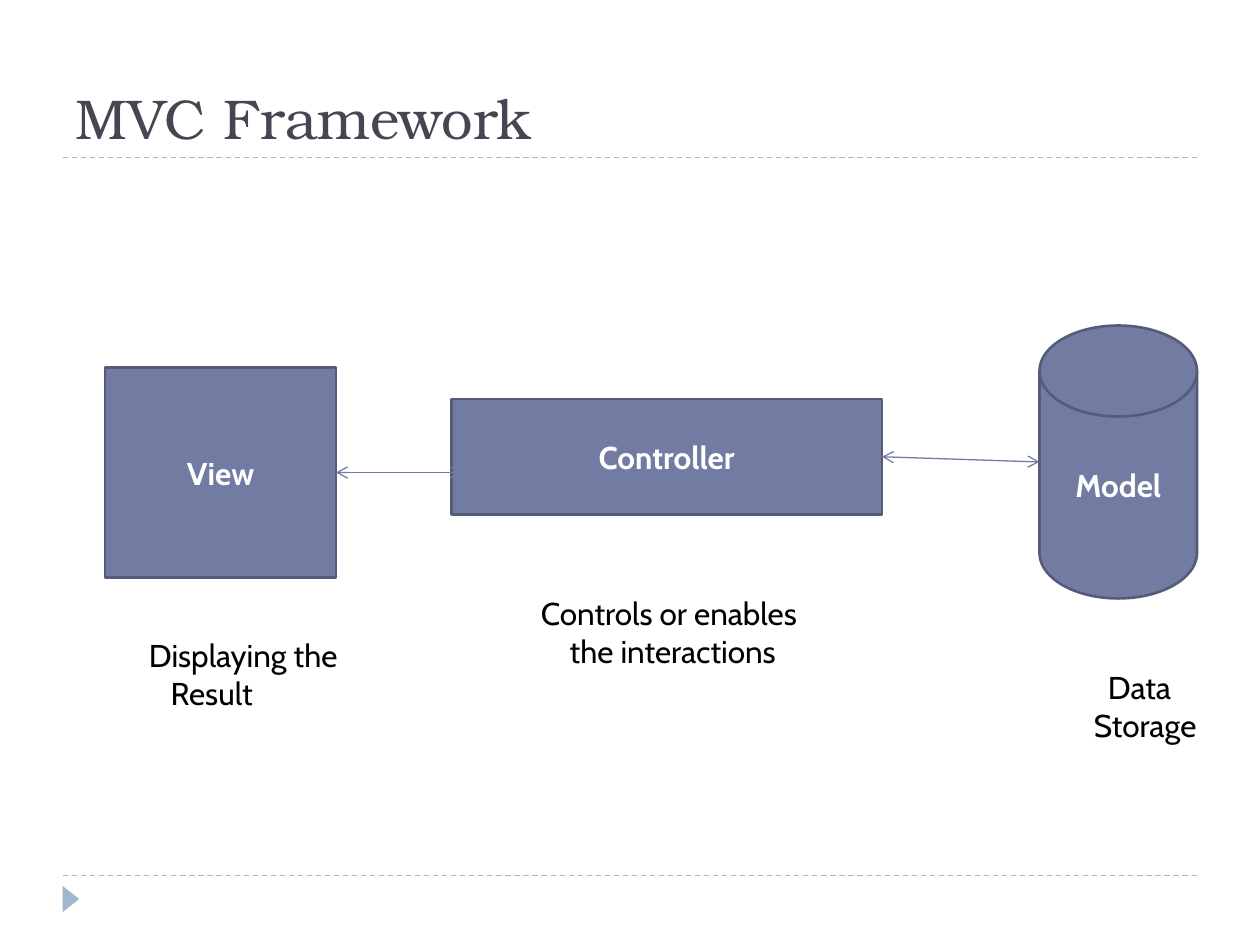
from dataclasses import dataclass
from lxml.etree import SubElement
from pptx import Presentation
from pptx.dml.color import RGBColor
from pptx.enum.dml import MSO_LINE
from pptx.enum.shapes import MSO_CONNECTOR as CONN, MSO_SHAPE as SHAPE
from pptx.enum.text import MSO_ANCHOR as ANCHOR, MSO_AUTO_SIZE as AUTO, PP_ALIGN as ALIGN
from pptx.oxml.ns import qn
from pptx.util import Pt


@dataclass(frozen=True)
class Theme:
    title: str = "464653"
    box: str = "727CA3"
    edge: str = "545C79"
    rule: str = "9FB8CD"
    light: str = "FFFFFF"
    dark: str = "000000"
    heading_font: str = "TeX Gyre Bonum"
    body_font: str = "Cabin"
    title_size: int = 32
    body_size: int = 18


theme = Theme()


def write(tf, text, font=theme.body_font, size=theme.body_size, color=theme.dark,
          bold=False, align=ALIGN.LEFT, anchor=ANCHOR.TOP, wrap=True, indents=(0,)):
    tf.word_wrap = wrap
    tf.vertical_anchor = anchor
    for i, (line, indent) in enumerate(zip(text.split("\n"), indents)):
        p = tf.paragraphs[0] if i == 0 else tf.add_paragraph()
        p.alignment = align
        if indent:
            p._p.get_or_add_pPr().set("indent", str(Pt(indent)))
        r = p.add_run()
        r.text = line
        r.font.name = font
        r.font.size = Pt(size)
        r.font.bold = bold
        r.font.color.rgb = RGBColor.from_string(color)


def add_line(x1, y1, x2, y2, color, dash=None, arrows=False):
    c = s.shapes.add_connector(CONN.STRAIGHT, Pt(x1), Pt(y1), Pt(x2), Pt(y2))
    c.line.color.rgb = RGBColor.from_string(color)
    c.line.width = Pt(0.75)
    if dash:
        c.line.dash_style = dash
    if arrows:
        ln = c.line._get_or_add_ln()
        for end in ("a:headEnd", "a:tailEnd"):
            SubElement(ln, qn(end), type="arrow")
    SubElement(c._element.spPr, qn("a:effectLst"))
    return c


prs = Presentation()
prs.slide_width, prs.slide_height = Pt(720), Pt(540)
s = prs.slides.add_slide(prs.slide_layouts[5])

for y in (500.4, 90):
    add_line(36, y, 684, y, theme.rule, dash=MSO_LINE.DASH)

marker = s.shapes.add_shape(SHAPE.ISOSCELES_TRIANGLE, Pt(33), Pt(509), Pt(15), Pt(9.5))
marker.rotation = 90
marker.shadow.inherit = False
marker.fill.solid()
marker.fill.fore_color.rgb = RGBColor.from_string(theme.rule)
marker.line.fill.background()

title = s.shapes.title
title.left, title.top, title.width, title.height = Pt(36), Pt(12), Pt(648), Pt(78)
write(title.text_frame, "MVC Framework", font=theme.heading_font, size=theme.title_size,
      color=theme.title, anchor=ANCHOR.BOTTOM)

parts = {}
for name, kind, x, y, w, h in (
    ("View", SHAPE.RECTANGLE, 60, 210, 132, 120),
    ("Controller", SHAPE.RECTANGLE, 258, 228, 246, 66),
    ("Model", SHAPE.FLOWCHART_MAGNETIC_DISK, 594, 186, 90, 156),
):
    sp = s.shapes.add_shape(kind, Pt(x), Pt(y), Pt(w), Pt(h))
    sp.shadow.inherit = False
    sp.fill.solid()
    sp.fill.fore_color.rgb = RGBColor.from_string(theme.box)
    sp.line.color.rgb = RGBColor.from_string(theme.edge)
    sp.line.width = Pt(1.5)
    write(sp.text_frame, name, color=theme.light, bold=True, align=ALIGN.CENTER,
          anchor=ANCHOR.MIDDLE)
    parts[name] = sp

for source, x1, y1, x2, y2 in (
    ("View", 192, 270, 264, 270),
    ("Controller", 504, 261, 594, 264),
):
    c = add_line(x1, y1, x2, y2, theme.box, arrows=True)
    c.begin_connect(parts[source], 3)

for text, x, y, w, wrap, indents in (
    ("Data Storage", 618, 378, 90, True, (8,)),
    ("Controls or enables\nthe interactions", 282, 336, 216, True, (20, 36.5)),
    ("Displaying the\nResult", 78, 360, 122, False, (0, 12.5)),
):
    tf = s.shapes.add_textbox(Pt(x), Pt(y), Pt(w), Pt(51)).text_frame
    tf.auto_size = AUTO.SHAPE_TO_FIT_TEXT
    write(tf, text, wrap=wrap, indents=indents)

prs.save("out.pptx")
